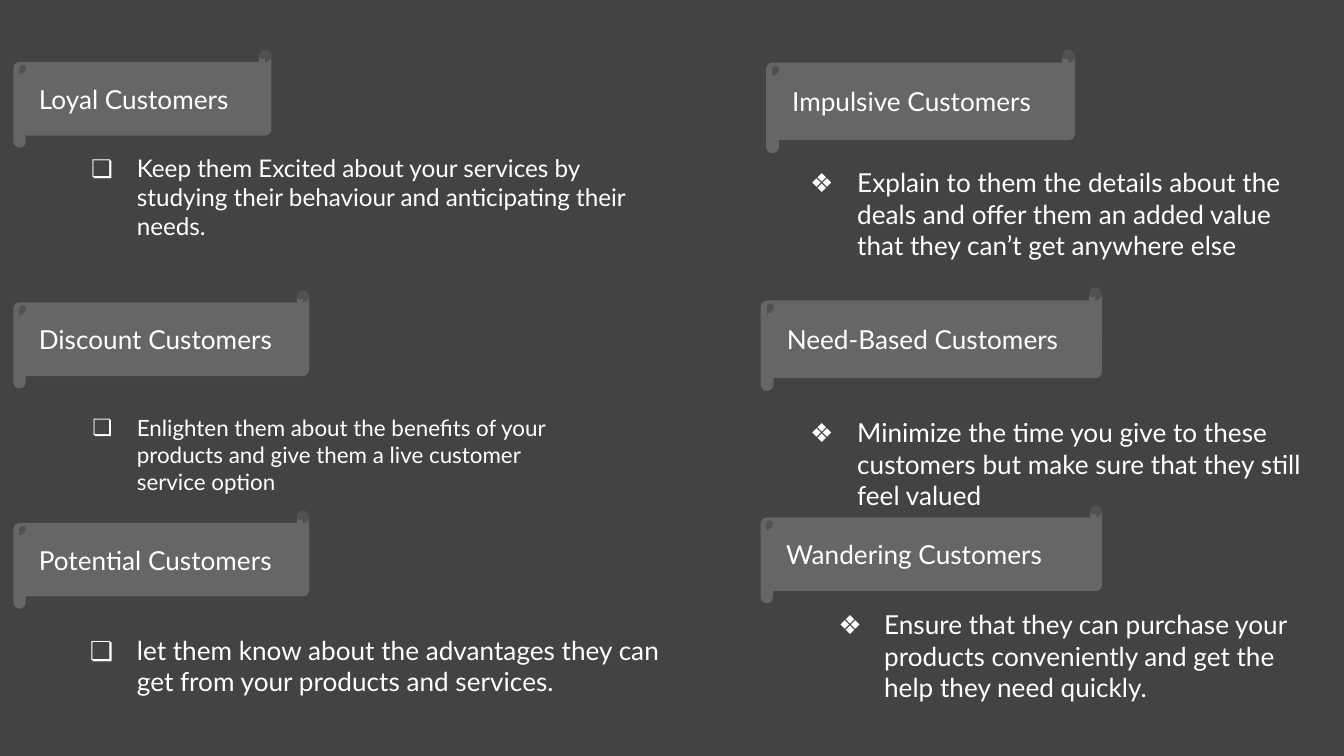
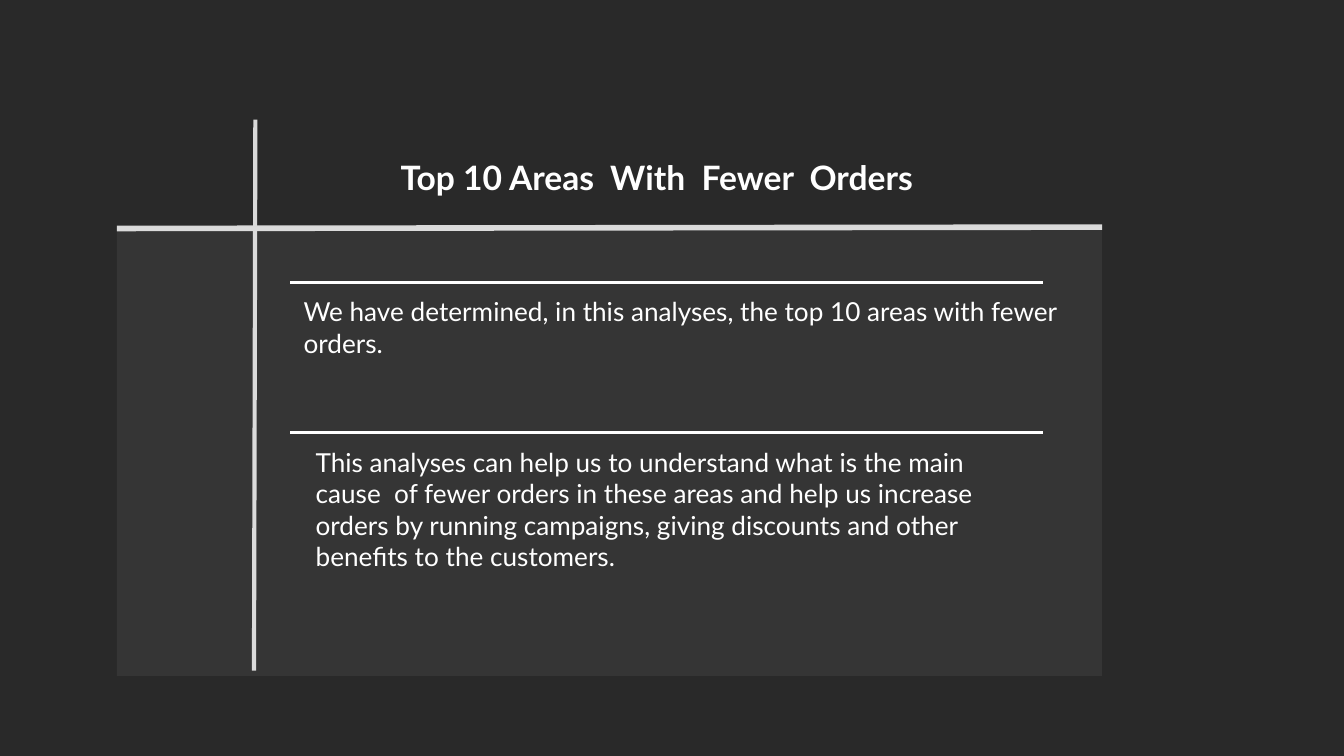
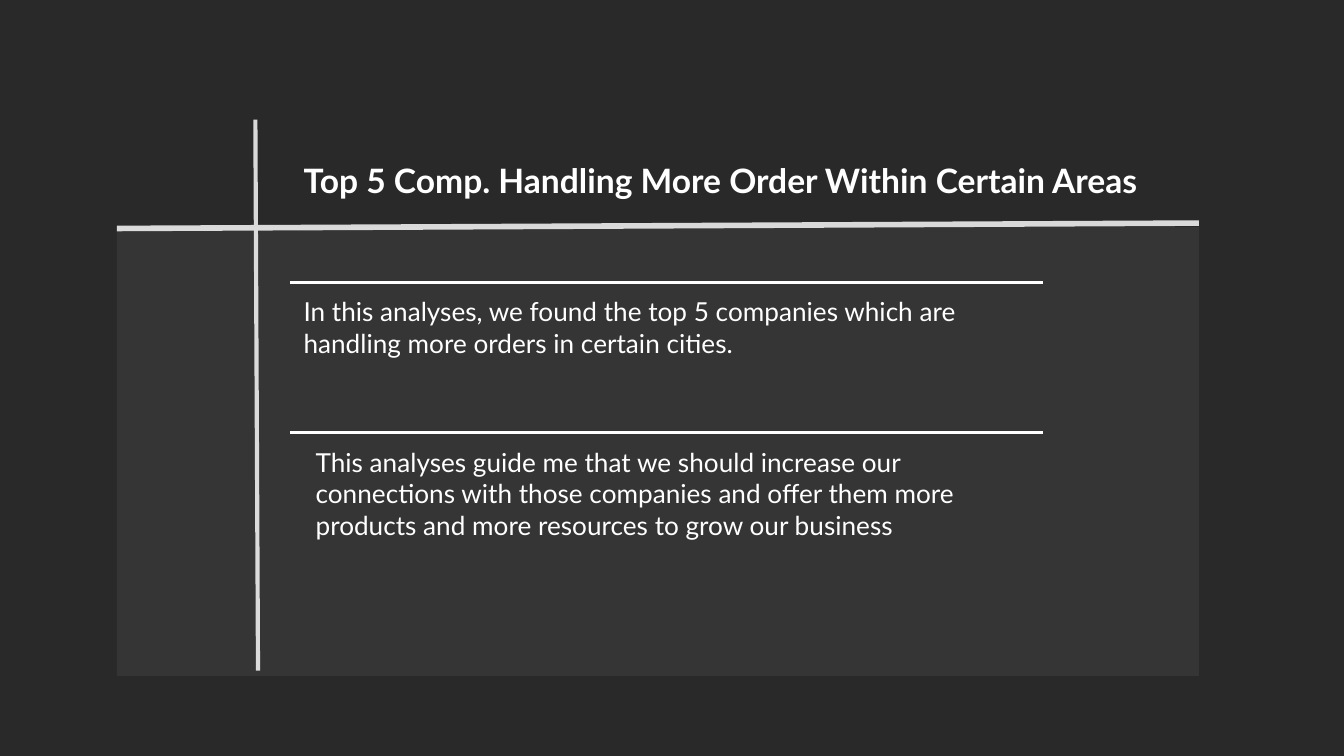
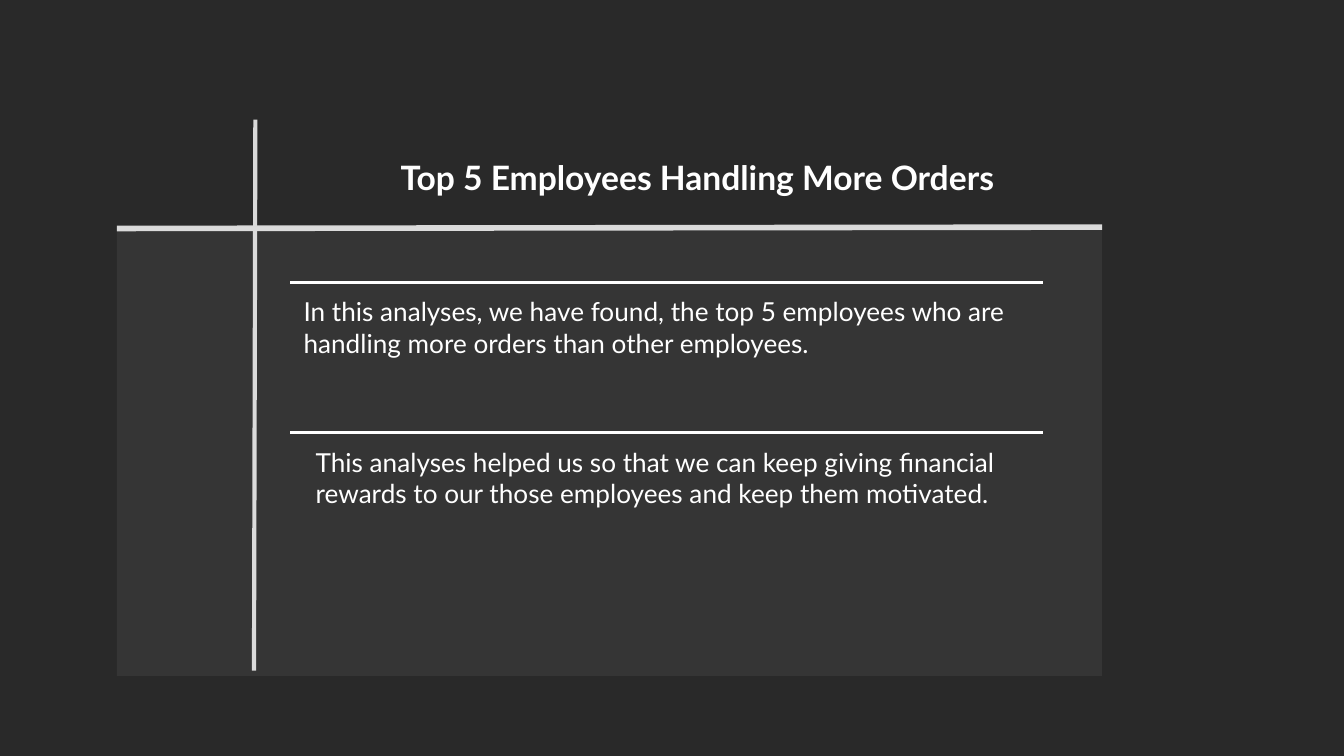
"""Build four dark slides on customer types and order analyses."""
from lxml import etree
from pptx import Presentation
from pptx.dml.color import RGBColor
from pptx.enum.shapes import MSO_CONNECTOR, MSO_SHAPE
from pptx.enum.text import MSO_ANCHOR, MSO_AUTO_SIZE, PP_ALIGN
from pptx.oxml.ns import qn
from pptx.util import Inches, Pt

SCROLL, RECT = MSO_SHAPE.HORIZONTAL_SCROLL, MSO_SHAPE.RECTANGLE
LINE = MSO_CONNECTOR.STRAIGHT
TOP, MID = MSO_ANCHOR.TOP, MSO_ANCHOR.MIDDLE
LEFT, GROW, FIXED = PP_ALIGN.LEFT, MSO_AUTO_SIZE.SHAPE_TO_FIT_TEXT, MSO_AUTO_SIZE.NONE

WIDTH = 10
HEIGHT = WIDTH * 9 / 16
FONT, WHITE, PALE, GREY = "Lato", "FFFFFF", "D9D9D9", "666666"
SLATE, DARK = "434343", "292929"
TITLE_ONLY, BLANK = 5, 6
PAD = 0.1

# Each entry: label, banner place, tip, tip place, tip size, hanging indent
GROUPS = {
    "❏": [
        ("Loyal Customers", (0.1, 0.37, 1.92, 0.73),
         "Keep them Excited about your services by studying their behaviour "
         "and anticipating their needs.", (0.42, 1.04, 4.62, 0.86), 13, 0.34),
        ("Discount Customers", (0.1, 2.16, 2.2, 0.73),
         "Enlighten them about the benefits of your products and give them "
         "a live customer service option", (0.42, 2.98, 3.93, 1.01), 12, 0.33),
        ("Potential Customers", (0.1, 3.8, 2.2, 0.73),
         "let them know about the advantages they can get from your products "
         "and services.", (0.42, 4.62, 4.62, 0.67), 14, 0.35),
    ],
    "❖": [
        ("Impulsive Customers", (5.7, 0.37, 2.3, 0.77),
         "Explain to them the details about the deals and offer them an added "
         "value that they can’t get anywhere else",
         (5.78, 1.14, 4.03, 0.91), 14, 0.35),
        ("Need-Based Customers", (5.66, 2.14, 2.54, 0.77),
         "Minimize the time you give to these customers but make sure that "
         "they still feel valued", (5.78, 3, 4.03, 0.91), 14, 0.35),
        ("Wandering Customers", (5.66, 3.76, 2.54, 0.73),
         "Ensure that they can purchase your products conveniently and get "
         "the help they need quickly.", (5.98, 4.43, 3.98, 0.91), 14, 0.34),
    ],
}

STUDIES = [
    {"title": "Top 10 Areas  With  Fewer  Orders", "head": (2.88, 1.07, 4.21, 0.5),
     "found": "We have determined, in this analyses, the top 10 areas with "
              "fewer orders.",
     "use": "This analyses can help us to understand what is the main cause  of "
            "fewer orders in these areas and help us increase orders by running "
            "campaigns, giving discounts and other benefits to the customers.",
     "size": (5.51, 1.14), "wide": 7.33, "foot": 1.89, "rise": 1.69},
    {"title": "Top 5 Comp. Handling More Order Within Certain Areas",
     "head": (2.16, 1.09, 6.97, 0.5),
     "found": "In this analyses, we found the top 5 companies which are handling "
              "more orders in certain cities.",
     "use": "This analyses guide me that we should increase our connections with "
            "those companies and offer them more products and more resources to "
            "grow our business",
     "size": (5.61, 0.91), "wide": 8.05, "foot": 1.92, "rise": 1.66},
    {"title": "Top 5 Employees Handling More Orders", "head": (2.88, 1.07, 5.09, 0.5),
     "found": "In this analyses, we have found, the top 5 employees who are "
              "handling more orders than other employees.",
     "use": "This analyses helped us so that we can keep giving financial rewards "
            "to our those employees and keep them motivated.",
     "size": (5.51, 0.67), "wide": 7.33, "foot": 1.89, "rise": 1.69},
]
EDGE, DECK, TALL = 0.87, 1.69, 3.34
RULE_X, RULE_END, RULES = 2.16, 7.76, (2.1, 3.22)


def color(code):
    return RGBColor.from_string(code)


def place(box):
    return [Inches(n) for n in box]


def paint(shape, code, alpha=None):
    shape.shadow.inherit = False
    shape.line.fill.background()
    shape.fill.solid()
    shape.fill.fore_color.rgb = color(code)
    if alpha:
        tone = shape.fill._xPr.find(qn("a:solidFill"))[0]
        etree.SubElement(tone, qn("a:alpha"), val=str(alpha * 1000))


def write(shape, text, size=14, bold=False, anchor=TOP, fit=GROW, mark=None, hang=0):
    frame = shape.text_frame
    frame.word_wrap, frame.auto_size = True, fit
    frame.vertical_anchor = anchor
    frame.margin_left = frame.margin_right = Inches(PAD)
    frame.margin_top = frame.margin_bottom = Inches(PAD)
    para = frame.paragraphs[0]
    para.alignment = LEFT
    run = para.add_run()
    run.text = text
    font = run.font
    font.name, font.size, font.bold = FONT, Pt(size), bold
    font.color.rgb = color(WHITE)
    if mark:
        props = para._p.get_or_add_pPr()
        props.set("marL", str(Inches(0.5)))
        props.set("indent", str(-Inches(hang)))
        tint = etree.SubElement(props, qn("a:buClr"))
        etree.SubElement(tint, qn("a:srgbClr"), val=WHITE)
        etree.SubElement(props, qn("a:buFont"), typeface=FONT)
        etree.SubElement(props, qn("a:buChar"), char=mark)


def note(slide, box, text, **form):
    write(slide.shapes.add_textbox(*place(box)), text, **form)


def rule(slide, ends, code, weight):
    line = slide.shapes.add_connector(LINE, *place(ends))
    line.line.color.rgb = color(code)
    line.line.width = Pt(weight)
    etree.SubElement(line._element.spPr, qn("a:effectLst"))


def start(deck, layout, back):
    slide = deck.slides.add_slide(deck.slide_layouts[layout])
    slide.background.fill.solid()
    slide.background.fill.fore_color.rgb = color(back)
    return slide


def types(deck):
    slide = start(deck, BLANK, SLATE)
    for mark, group in GROUPS.items():
        for label, spot, tip, box, size, hang in group:
            scroll = slide.shapes.add_shape(SCROLL, *place(spot))
            paint(scroll, GREY)
            write(scroll, label, anchor=MID, fit=FIXED)
            note(slide, box, tip, size=size, mark=mark, hang=hang)


def study(deck, item):
    slide = start(deck, TITLE_ONLY, DARK)
    title = slide.shapes.title
    title.left, title.top, title.width, title.height = place(item["head"])
    write(title, item["title"], size=18, bold=True)
    rule(slide, (1.9, 0.89, item["foot"], 4.99), PALE, 2.25)
    rule(slide, (EDGE, 1.7, EDGE + item["wide"], item["rise"]), PALE, 3)
    panel = slide.shapes.add_shape(RECT, *place((EDGE, DECK, item["wide"], TALL)))
    paint(panel, WHITE, alpha=6)
    note(slide, (RULE_X, RULES[0], 5.82, 0.67), item["found"])
    for y in RULES:
        rule(slide, (RULE_X, y, RULE_END, y), WHITE, 1.5)
    note(slide, (2.25, RULES[1], *item["size"]), item["use"])


def main():
    deck = Presentation()
    deck.slide_width, deck.slide_height = place((WIDTH, HEIGHT))
    types(deck)
    for item in STUDIES:
        study(deck, item)
    deck.save("out.pptx")


if __name__ == "__main__":
    main()
